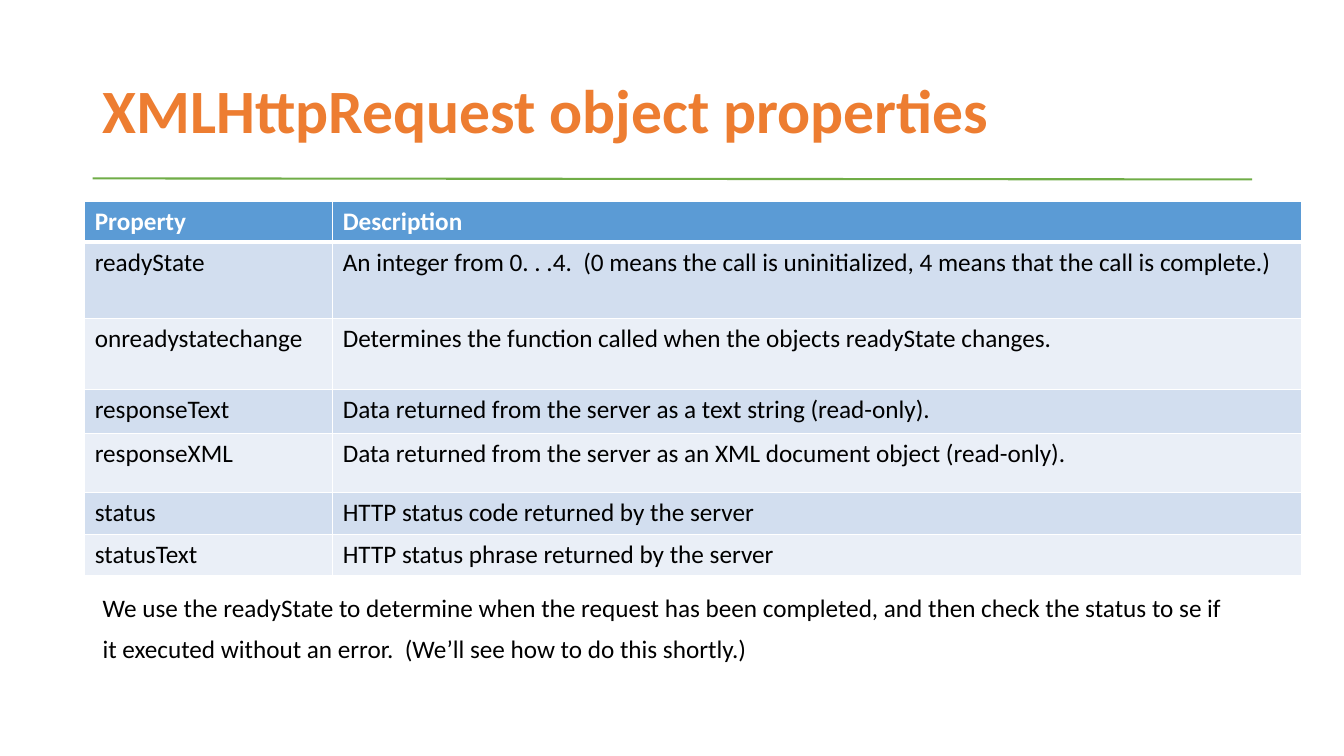
import pptx
import pptx.dml.color
import pptx.enum.shapes
import pptx.enum.text
import pptx.oxml
import pptx.oxml.ns
import pptx.util
from pptx.util import Inches

COLORS = {
    "title": "ED7D31",
    "rule": "70AD47",
    "header": "5B9BD5",
    "odd": "D2DEEF",
    "even": "EAEFF7",
    "white": "FFFFFF",
    "text": "000000",
}

# Property, description, row height
PROPERTIES = [
    ("Property", "Description", 0.39),
    ("readyState", "An integer from 0. . .4.  (0 means the call is uninitialized, "
     "4 means that the call is complete.)", 0.76),
    ("onreadystatechange",
     "Determines the function called when the objects readyState changes.", 0.7),
    ("responseText", "Data returned from the server as a text string (read-only).", 0.44),
    ("responseXML",
     "Data returned from the server as an XML document object (read-only).", 0.59),
    ("status", "HTTP status code returned by the server", 0.41),
    ("statusText", "HTTP status phrase returned by the server", 0.41),
]
COLUMN_WIDTHS = (2.46, 9.61)

REMARKS = [
    "We use the readyState to determine when the request has been completed, "
    "and then check the status to se if",
    "it executed without an error.  (We’ll see how to do this shortly.)",
]


class SlideBuilder:
    font = "Calibri"

    def __init__(self, page):
        self.page = page

    def color(self, name):
        return pptx.dml.color.RGBColor.from_string(COLORS[name])

    def add_span(self, para, text, size, color, bold=False):
        span = para.add_run()
        span.text = text
        span.font.name = self.font
        span.font.size = pptx.util.Pt(size)
        span.font.bold = bold
        span.font.color.rgb = self.color(color)

    def add_text(self, left, top, width, height, lines, size, color,
                 bold=False, anchor=pptx.enum.text.MSO_ANCHOR.TOP):
        box = self.page.shapes.add_textbox(
            Inches(left), Inches(top), Inches(width), Inches(height))
        frame = box.text_frame
        frame.word_wrap = True
        frame.vertical_anchor = anchor
        for index, line in enumerate(lines):
            para = frame.add_paragraph() if index else frame.paragraphs[0]
            para.line_spacing = 0.9
            if index:
                para.space_before = pptx.util.Pt(10)
            self.add_span(para, line, size, color, bold)

    def add_rule(self, start, end, color, width):
        rule = self.page.shapes.add_connector(
            pptx.enum.shapes.MSO_CONNECTOR.STRAIGHT,
            *(Inches(value) for value in start + end))
        rule.line.color.rgb = self.color(color)
        rule.line.width = pptx.util.Pt(width)
        properties = rule._element.spPr
        properties.append(properties.makeelement(pptx.oxml.ns.qn("a:effectLst"), {}))

    def add_border(self, cell, side, width):
        cell._tc.get_or_add_tcPr().append(pptx.oxml.parse_xml(
            f'<a:ln{side} {pptx.oxml.ns.nsdecls("a")} w="{pptx.util.Pt(width)}">'
            f'<a:solidFill><a:srgbClr val="{COLORS["white"]}"/></a:solidFill>'
            f'</a:ln{side}>'))

    def add_table(self, left, top, rows, widths, size):
        heights = [row[-1] for row in rows]
        table = self.page.shapes.add_table(
            len(rows), len(widths), Inches(left), Inches(top),
            Inches(sum(widths)), Inches(sum(heights))).table
        for column, width in zip(table.columns, widths):
            column.width = Inches(width)
        for row_index, (*texts, height) in enumerate(rows):
            table.rows[row_index].height = Inches(height)
            header = row_index == 0
            fill = "header" if header else ("even", "odd")[row_index % 2]
            for column_index, text in enumerate(texts):
                cell = table.cell(row_index, column_index)
                # The line under the header is thicker than the others
                for side in "LRTB":
                    thick = (row_index, side) in ((0, "B"), (1, "T"))
                    self.add_border(cell, side, 3 if thick else 1)
                cell.fill.solid()
                cell.fill.fore_color.rgb = self.color(fill)
                self.add_span(cell.text_frame.paragraphs[0], text, size,
                              "white" if header else "text", header)


def main():
    deck = pptx.Presentation()
    deck.slide_width, deck.slide_height = Inches(13.33), Inches(7.5)
    builder = SlideBuilder(deck.slides.add_slide(deck.slide_layouts[6]))

    # Title
    builder.add_text(0.92, 0.4, 11.5, 1.45, ["XMLHttpRequest object properties"],
                     44, "title", True, pptx.enum.text.MSO_ANCHOR.MIDDLE)

    # Closing remarks
    builder.add_text(0.92, 5.86, 11.5, 1.23, REMARKS, 18, "text")

    # Property table
    builder.add_table(0.84, 2, PROPERTIES, COLUMN_WIDTHS, 18)

    # Line under the title
    builder.add_rule((0.92, 1.77), (12.42, 1.78), "rule", 1.5)

    deck.save("out.pptx")


if __name__ == "__main__":
    main()
